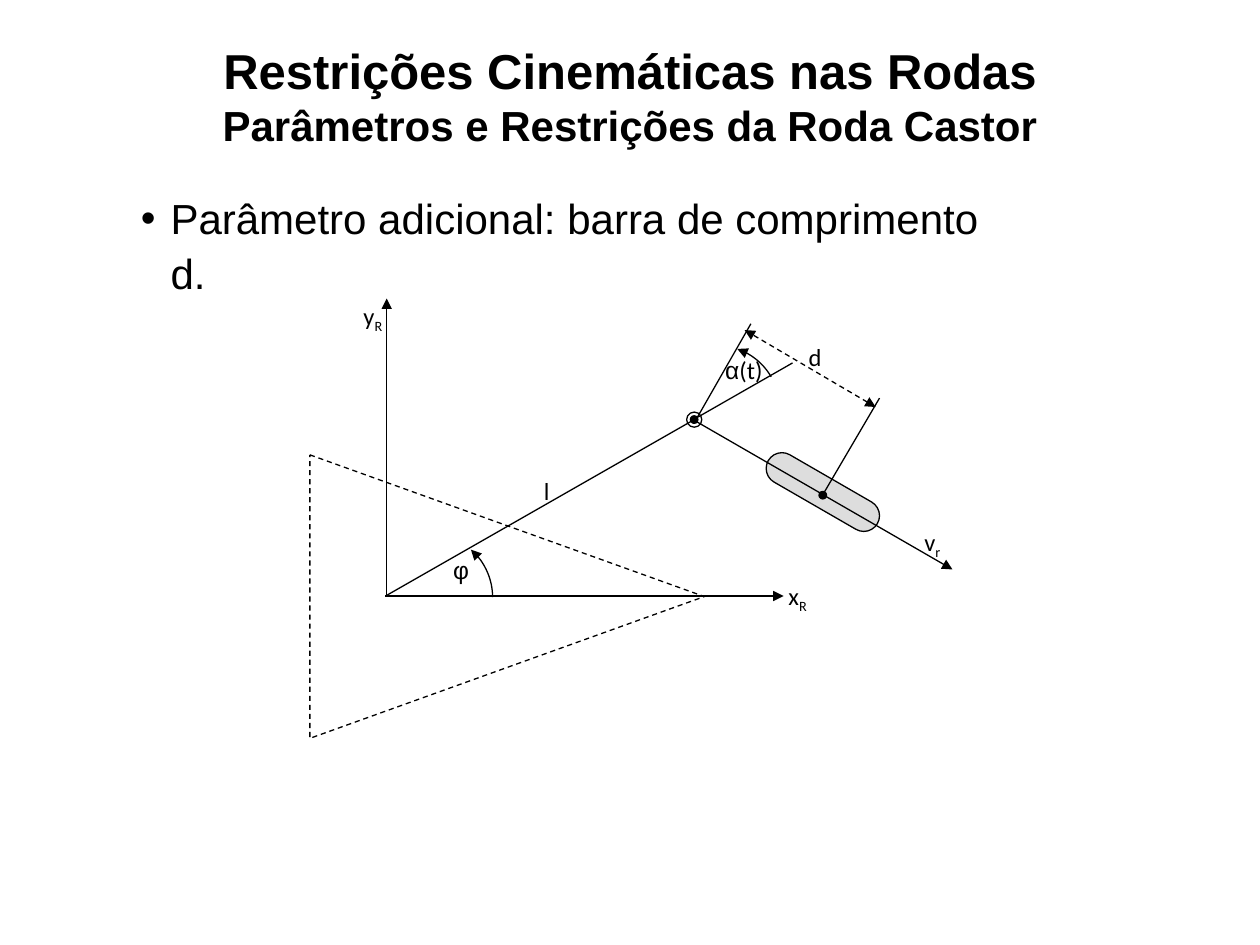
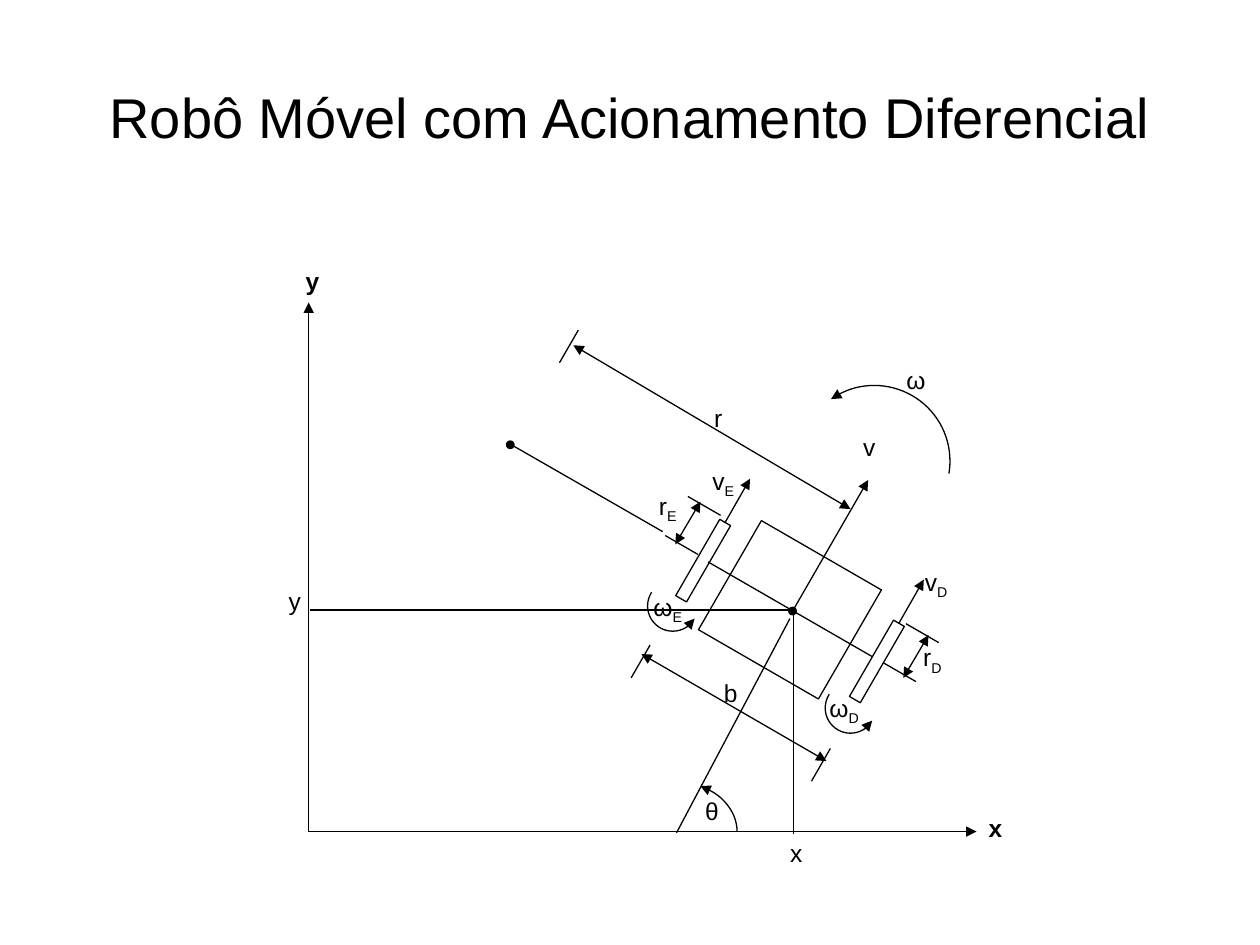
import pptx
import pptx.dml.color
import pptx.enum.dml
import pptx.enum.shapes
import pptx.enum.text
import pptx.oxml.ns
import pptx.util
from lxml import etree

Pt = pptx.util.Pt
SHAPE = pptx.enum.shapes.MSO_SHAPE
ALIGN = pptx.enum.text.PP_ALIGN
ANCHOR = pptx.enum.text.MSO_ANCHOR
qn = pptx.oxml.ns.qn


def color(value):
    return pptx.dml.color.RGBColor.from_string(value)


def write(para, text, size=14, font="Arial", bold=False, baseline=0, ink="000000"):
    span = para.add_run()
    span.text = text
    span.font.size = Pt(size)
    span.font.name = font
    span.font.bold = bold
    span.font.color.rgb = color(ink)
    if baseline:
        span._r.get_or_add_rPr().set("baseline", str(baseline * 1000))
    return span


class Sketch:
    ink = "000000"
    paper = "FFFFFF"
    tyre = "DDDDDD"
    stroke = 0.75
    tilt = 30

    def __init__(self, deck, label_font):
        self.page = deck.slides.add_slide(deck.slide_layouts[6])
        self.label_font = label_font

    def text_box(self, left, top, width, height):
        box = self.page.shapes.add_textbox(Pt(left), Pt(top), Pt(width), Pt(height))
        box.text_frame.word_wrap = True
        return box

    def title(self, lines, bold=False, anchor=ANCHOR.MIDDLE, margin_top=3.6):
        frame = self.text_box(36, 21.6, 648, 90).text_frame
        frame.vertical_anchor = anchor
        frame.margin_top = Pt(margin_top)
        para = frame.paragraphs[0]
        para.alignment = ALIGN.CENTER
        for index, (text, size) in enumerate(lines):
            if index:
                para.add_line_break()
            write(para, text, size=size, bold=bold)

    def bullet(self, text, left, top, width, height):
        box = self.text_box(left, top, width, height)
        box.text_frame.auto_size = pptx.enum.text.MSO_AUTO_SIZE.SHAPE_TO_FIT_TEXT
        para = box.text_frame.paragraphs[0]
        props = para._p.get_or_add_pPr()
        props.set("marL", str(Pt(17)))
        props.set("indent", str(Pt(-17)))
        etree.SubElement(props, qn("a:buFont")).set("typeface", "Arial")
        etree.SubElement(props, qn("a:buChar")).set("char", "•")
        para.line_spacing = 1.08
        write(para, text, size=24)

    def label(self, text, left, top, width=36, height=36, font=None, bold=False):
        para = self.text_box(left, top, width, height).text_frame.paragraphs[0]
        para.alignment = ALIGN.CENTER
        symbol, _, index = text.partition("_")
        font = font or self.label_font
        write(para, symbol, font=font, bold=bold)
        if index:
            write(para, index, font=font, baseline=-25)
        return para

    def outline(self, item, head=False, tail=False, dash=False):
        item.line.color.rgb = color(self.ink)
        item.line.width = Pt(self.stroke)
        if dash:
            item.line.dash_style = pptx.enum.dml.MSO_LINE.DASH
        line = item.line._get_or_add_ln()
        for tag, wanted in (("a:headEnd", head), ("a:tailEnd", tail)):
            if wanted:
                etree.SubElement(line, qn(tag)).set("type", "triangle")

    def shape(self, kind, left, top, width, height, fill=None, turn=0, **ends):
        item = self.page.shapes.add_shape(kind, Pt(left), Pt(top), Pt(width), Pt(height))
        item.shadow.inherit = False
        item.rotation = turn
        if fill:
            item.fill.solid()
            item.fill.fore_color.rgb = color(fill)
        else:
            item.fill.background()
        self.outline(item, **ends)
        return item

    def circle(self, x, y, radius=2.16, fill=ink):
        self.shape(SHAPE.OVAL, x - radius, y - radius, 2 * radius, 2 * radius, fill)

    def arc(self, x, y, radius, start, end, radius_y=None):
        radius_y = radius_y or radius
        item = self.shape(SHAPE.ARC, x - radius, y - radius_y,
                          2 * radius, 2 * radius_y, head=True)
        for index, degrees in enumerate((start, end)):
            item.adjustments[index] = degrees * 0.6

    def line(self, x1, y1, x2, y2, begin=None, finish=None, **ends):
        places = [Pt(value) for value in (x1, y1, x2, y2)]
        item = self.page.shapes.add_connector(
            pptx.enum.shapes.MSO_CONNECTOR.STRAIGHT, *places)
        if begin:
            item.begin_connect(*begin)
        if finish:
            item.end_connect(*finish)
        # joined sides are tilted, so the ends are set again
        item.begin_x, item.begin_y, item.end_x, item.end_y = places
        etree.SubElement(item._element.spPr, qn("a:effectLst"))
        self.outline(item, **ends)


def castor_wheel(deck):
    sketch = Sketch(deck, "Calibri")
    sketch.title([("Restrições Cinemáticas nas Rodas", 28),
                  ("Parâmetros e Restrições da Roda Castor", 24)],
                 bold=True, anchor=ANCHOR.TOP, margin_top=1.4)
    sketch.bullet("Parâmetro adicional: barra de comprimento d.", 73.4, 104.4, 512, 36)

    wheel = sketch.shape(SHAPE.ROUNDED_RECTANGLE, 434.2, 272.2, 72, 18,
                         sketch.tyre, sketch.tilt)
    wheel.adjustments[0] = 0.5
    sketch.shape(SHAPE.ISOSCELES_TRIANGLE, 208.8, 228.2, 162, 225.4,
                 sketch.paper, 90, dash=True)
    pivot = (396.7, 239.8)
    sketch.circle(470.2, 283)
    sketch.circle(*pivot)
    sketch.circle(*pivot, radius=4.32, fill=None)

    sketch.line(221, 340.6, 221, 170.6, tail=True)
    sketch.line(220.3, 340.6, 447.8, 340.6, tail=True)
    sketch.line(*pivot, 220.3, 340.6)
    sketch.line(469.4, 282.2, 544.3, 325.4, tail=True)
    sketch.line(502.6, 227.5, 470.9, 281.5)
    sketch.line(470.9, 283, 396, 239.8)
    sketch.line(452.9, 207.4, 398.9, 238.3)
    sketch.line(429.1, 185, 398.2, 239)
    sketch.line(500.4, 232.6, 425.5, 188.6, head=True, tail=True, dash=True)
    sketch.arc(245.5, 341.3, 36, 311, 0)
    sketch.arc(409.7, 233.3, 35.8, 289, 330)

    for text, left, top in (("v_r", 514.8, 297.4), ("x_R", 437.8, 328.3),
                            ("y_R", 195.1, 168.5), ("l", 294.5, 268.6),
                            ("d", 447.8, 192.2)):
        sketch.label(text, left, top, height=28.8)
    sketch.label("φ", 241.9, 313.9, width=43.2, font="Arial")
    alpha = sketch.label("α", 393.8, 199.4, width=62.6, font="Arial")
    write(alpha, "(t)", font="Calibri")


def differential_drive(deck):
    sketch = Sketch(deck, "Arial")
    sketch.title([("Robô Móvel com Acionamento Diferencial", 32)])

    sketch.shape(SHAPE.RECTANGLE, 411.8, 312.5, 79.2, 72, sketch.paper, sketch.tilt)
    sides = (
        ((398.2, 295.2), (393.1, 283.7), (400.3, 286.6), (384.5, 346.3), "finish", 1),
        ((497.5, 352.8), (517.7, 356.4), (530.6, 362.9), (486, 404.6), "begin", 3),
    )
    wheels = []
    for (left, top), (mark_x, mark_y), (gauge_x, gauge_y), spin, joint, site in sides:
        wheel = sketch.shape(SHAPE.RECTANGLE, left, top, 7.2, 50.4,
                             sketch.paper, sketch.tilt)
        wheels.append(wheel)
        sketch.line(left + 16, top + 3.6, left + 30.4, top - 21.6,
                    begin=(wheel, 0), tail=True)
        sketch.line(mark_x, mark_y, mark_x + 18.7, mark_y + 10.8)
        sketch.line(mark_x - 13, mark_y + 22.3, mark_x + 5.7, mark_y + 33.1,
                    **{joint: (wheel, site)})
        sketch.line(gauge_x, gauge_y, gauge_x - 14.4, gauge_y + 24.5,
                    head=True, tail=True)
        sketch.arc(*spin, 14.4, 30, 213)

    left_wheel, right_wheel = wheels
    sketch.line(404.6, 321.1, 498.2, 375.1, begin=(left_wheel, 3), finish=(right_wheel, 1))
    sketch.line(452.9, 349.2, 496.1, 274.3, tail=True)
    sketch.circle(452.9, 349.2)

    for x, y in ((371.5, 368.6), (474.5, 427.7), (330.5, 188.6)):
        sketch.line(x, y, x - 10.8, y + 18.7)
    sketch.line(366.5, 373.7, 472.3, 434.9, head=True, tail=True)
    sketch.line(486, 290.9, 327.6, 197.3, head=True, tail=True)
    sketch.line(290.9, 253.4, 378.7, 303.8)
    sketch.circle(291.6, 254.2)
    sketch.arc(499.7, 263.5, 43.2, 235, 9.5)

    sketch.line(176.4, 475.2, 176.4, 172.8, tail=True)
    sketch.line(176.4, 475.2, 558, 475.2, tail=True)
    sketch.line(451.4, 348.5, 177.1, 348.5)
    sketch.line(453.6, 349.9, 453.6, 476.6)
    sketch.line(451.4, 353.5, 386.6, 475.9)
    sketch.arc(385.2, 475.2, 36, 300, 0, radius_y=28.6)

    for text, left, top in (
            ("v_E", 395.3, 262.8), ("v_D", 517, 320.4), ("ω_E", 363.6, 334.8),
            ("ω_D", 464.4, 392.4), ("r_E", 363.6, 277.2), ("r_D", 514.8, 363.6),
            ("b", 399.6, 383.8), ("v", 478.8, 243.4), ("r", 392.4, 226.8),
            ("ω", 505.4, 205.2)):
        sketch.label(text, left, top)
    for text, left, top in (("θ", 385.2, 451.4), ("x", 433.4, 475.2), ("y", 146.9, 331.2)):
        sketch.label(text, left, top, width=43.2)
    sketch.label("x", 550.8, 460.8, height=28.8, bold=True)
    sketch.label("y", 160.6, 148.3, height=21.6, bold=True)


def main():
    deck = pptx.Presentation()
    deck.slide_width, deck.slide_height = Pt(720), Pt(540)
    castor_wheel(deck)
    differential_drive(deck)
    deck.save("out.pptx")


if __name__ == "__main__":
    main()
